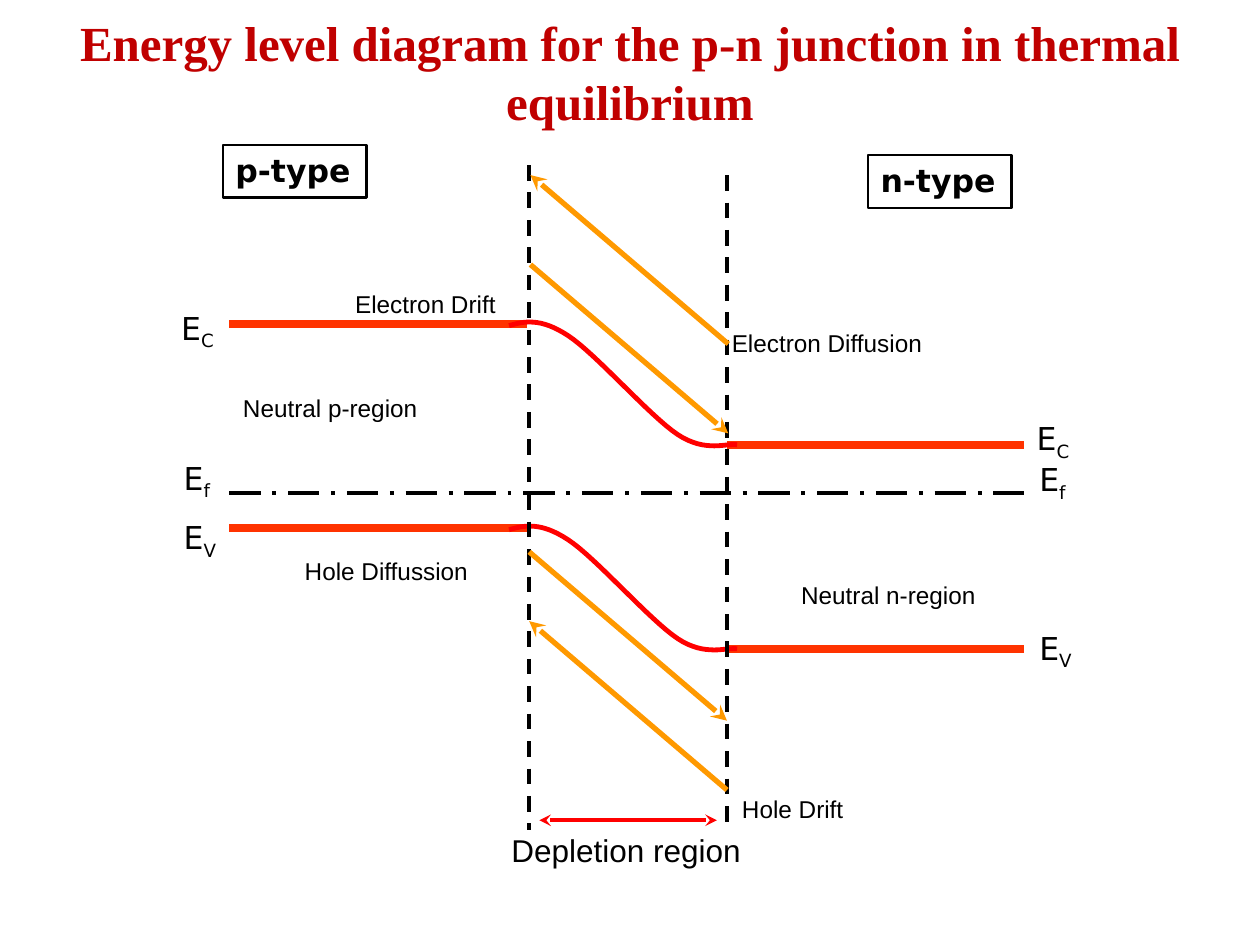
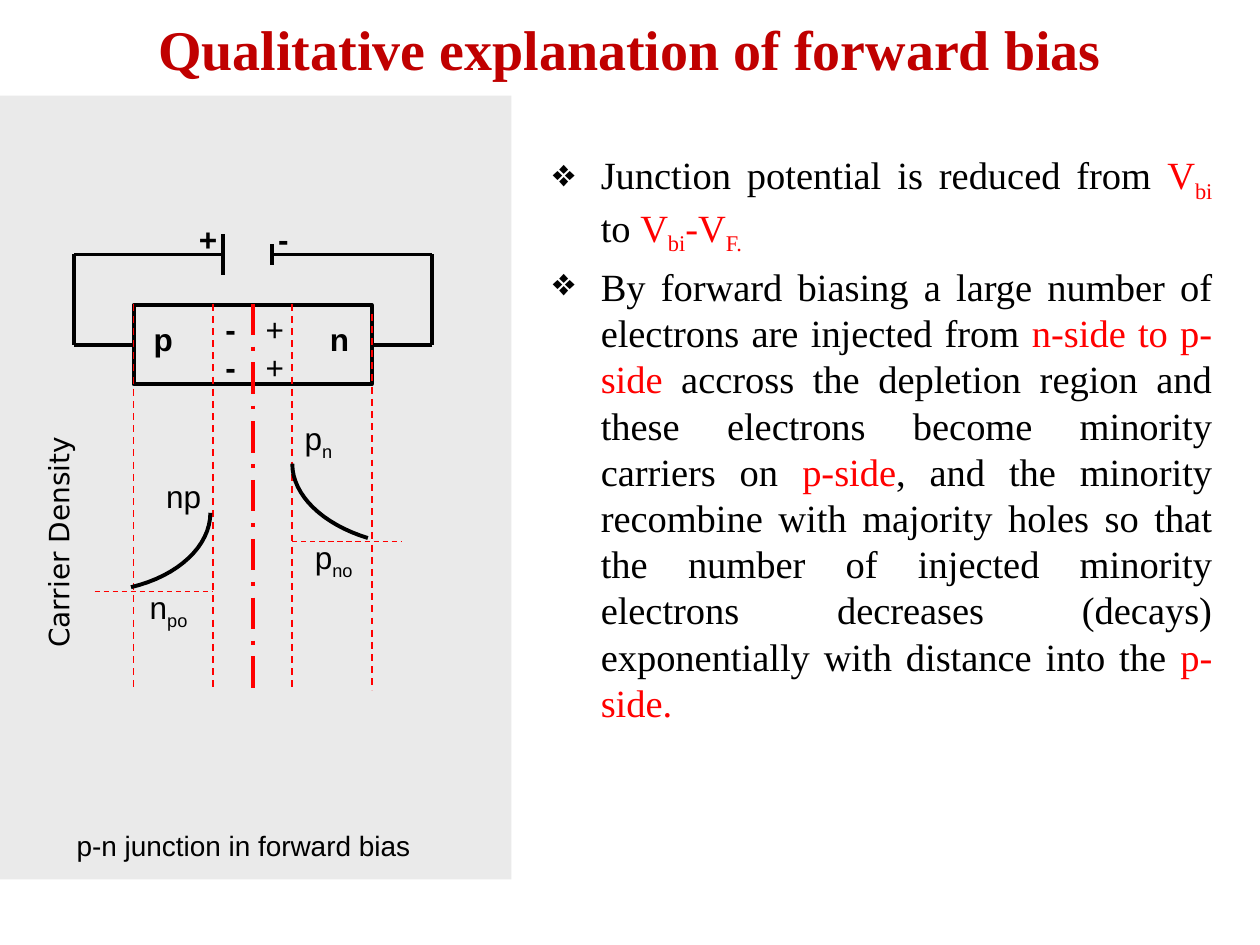
"""Build two slides on the p-n junction: energy levels and forward bias."""
from dataclasses import dataclass

from lxml import etree
from pptx import Presentation
from pptx.dml.color import RGBColor
from pptx.enum.dml import MSO_LINE
from pptx.enum.shapes import MSO_CONNECTOR, MSO_SHAPE
from pptx.enum.text import MSO_ANCHOR, PP_ALIGN
from pptx.oxml.ns import qn
from pptx.util import Inches, Pt

STRAIGHT, RECT = MSO_CONNECTOR.STRAIGHT, MSO_SHAPE.RECTANGLE
DASH, DASH_DOT = MSO_LINE.DASH, MSO_LINE.LONG_DASH_DOT
LEFT, CENTER, JUSTIFY = PP_ALIGN.LEFT, PP_ALIGN.CENTER, PP_ALIGN.JUSTIFY
TOP, MIDDLE = MSO_ANCHOR.TOP, MSO_ANCHOR.MIDDLE
LEFT_SIDE, RIGHT_SIDE = 1, 3


@dataclass(frozen=True)
class Theme:
    black: str = "000000"
    title: str = "C00000"
    red: str = "FF0000"
    band: str = "FF3300"
    arrow: str = "FF9900"
    panel: str = "EAEAEA"
    serif: str = "Times New Roman"
    sans: str = "Arial"
    symbol: str = "DejaVu Sans"
    long_title: int = 28
    short_title: int = 32
    body: int = 22
    label: int = 18
    region: int = 24
    caption: int = 16
    space: int = 4


T = Theme()
prs = Presentation()
prs.slide_width, prs.slide_height = Inches(10), Inches(7.5)
COL, ROW = prs.slide_width // 100, prs.slide_height // 75


def text(s, at, paras, size=T.label, font=T.sans, color=T.black, bold=False,
         align=LEFT, anchor=TOP, wrap=False, space=0):
    """Add text in which | switches to red and _ switches to subscript."""
    x, y, w, h = at
    sp = s.shapes.add_textbox(int(x * COL), int(y * ROW), int(w * COL), int(h * ROW))
    tf = sp.text_frame
    tf.word_wrap, tf.vertical_anchor = wrap, anchor
    for n, para in enumerate(paras):
        p = tf.add_paragraph() if n else tf.paragraphs[0]
        p.alignment, p.space_before = align, Pt(space)
        for i, part in enumerate(para.split("|")):
            for j, piece in enumerate(part.split("_")):
                if not piece:
                    continue
                r = p.add_run()
                r.text = piece
                r.font.size, r.font.name, r.font.bold = Pt(size), font, bold
                r.font.color.rgb = RGBColor.from_string(T.red if i % 2 else color)
                if j % 2:
                    r.font._element.set("baseline", "-25000")
    return sp


def line(s, pts, color=T.black, width=2.25, dash=None, head=False, tail=False):
    """Draw a connector through two points, or a Bezier chain through more."""
    pts = [(int(x * COL), int(y * ROW)) for x, y in pts]
    if len(pts) == 2:
        sp = s.shapes.add_connector(STRAIGHT, *pts[0], *pts[1])
    else:
        curve = []
        for k in range(0, len(pts) - 1, 3):
            for t in [n / 16 for n in range(1, 17)]:
                weights = ((1 - t) ** 3, 3 * t * (1 - t) ** 2, 3 * t * t * (1 - t), t ** 3)
                curve.append(tuple(round(sum(b * q[axis] for b, q in zip(weights, pts[k:k + 4])))
                                   for axis in (0, 1)))
        builder = s.shapes.build_freeform(*pts[0])
        builder.add_line_segments(curve, close=False)
        sp = builder.convert_to_shape()
        sp.fill.background()
    sp.line.color.rgb = RGBColor.from_string(color)
    sp.line.width = Pt(width)
    if dash:
        sp.line.dash_style = dash
    ln = sp.line._get_or_add_ln()
    for tag, wanted in (("a:headEnd", head), ("a:tailEnd", tail)):
        if wanted:
            etree.SubElement(ln, qn(tag)).set("type", "stealth")
    etree.SubElement(sp._element.spPr, qn("a:effectLst"))
    return sp


blank = prs.slide_layouts[6]
s = prs.slides.add_slide(blank)
text(s, (0, 0.5, 100, 9.4), ["Energy level diagram for the p-n junction in thermal equilibrium"],
     T.long_title, T.serif, T.title, True, CENTER, wrap=True, space=T.space)

P_EDGE, N_EDGE = 42, 57.7
BAND_LEFT, BAND_RIGHT, BAND_DROP = 18.2, 81.3, 9.6
for y in (25.7, 41.9):
    line(s, [(BAND_LEFT, y), (P_EDGE - 0.2, y)], T.band, 4.5)
    line(s, [(N_EDGE, y + BAND_DROP), (BAND_RIGHT, y + BAND_DROP)], T.band, 4.5)
    bend = [(40.4, 0.15), (41.6, -0.2), (42.9, -0.5), (45.1, 0.95), (47.3, 2.4),
            (51.6, 7.35), (53.8, 8.8), (56, 10.25), (57.7, 9.45), (58.5, 9.6)]
    line(s, [(x, y + dy) for x, dy in bend], T.red, 2.75)
line(s, [(BAND_LEFT, 39.1), (BAND_RIGHT, 39.1)], dash=DASH_DOT)

for x, y, level in ((13.4, 24, "E_C"), (13.6, 35.9, "E_f"), (13.6, 40.6, "E_V"),
                    (81.3, 32.8, "E_C"), (81.5, 36, "E_f"), (81.5, 49.4, "E_V")):
    text(s, (x, y, 4.7, 4), [level], font=T.symbol)

for x, y, side in ((17.7, 11.5, "p-type"), (68.9, 12.3, "n-type")):
    sp = text(s, (x, y, 11.4, 4.2), [side], font=T.symbol, bold=True)
    sp.line.color.rgb = RGBColor.from_string(T.black)
    sp.line.width = Pt(1.5)

for x, y in ((P_EDGE, 13.1), (N_EDGE, 13.9)):
    line(s, [(x, y), (x, 65.9)], dash=DASH)
for x, y, to_p in ((P_EDGE, 43.8, False), (P_EDGE, 49.3, True),
                   (42.1, 21, False), (42.1, 13.9, True)):
    line(s, [(x, y), (x + 15.7, y + 13.4)], T.arrow, 3, head=to_p, tail=not to_p)
line(s, [(42.8, 65.1), (56.9, 65.1)], T.red, head=True, tail=True)
text(s, (39.6, 65.5, 20.2, 4), ["Depletion region"])

for x, y, w, label in ((23.2, 41.4, 18.9, "Hole Diffussion"), (57.9, 60.3, 18.9, "Hole Drift"),
                       (57.1, 23.3, 24.4, "Electron Diffusion"),
                       (27.2, 20.2, 18.1, "Electron Drift"),
                       (18.3, 28.5, 17.9, "Neutral p-region"),
                       (62.6, 43.3, 17.9, "Neutral n-region")):
    text(s, (x, y, w, 3.7), ["_" + label], T.region, wrap=True)

s = prs.slides.add_slide(blank)
sp = s.shapes.add_shape(RECT, 0, int(7.6 * ROW), int(40.6 * COL), int(62.2 * ROW))
sp.shadow.inherit = False
sp.fill.solid()
sp.fill.fore_color.rgb = RGBColor.from_string(T.panel)
sp.line.fill.background()
text(s, (7.5, 0, 85, 7.6), ["Qualitative explanation of forward bias"],
     T.short_title, T.serif, T.title, True, CENTER, MIDDLE, True)

P_END, N_END, DIODE_TOP = 10.6, 29.5, 24.2
diode = s.shapes.add_shape(RECT, int(P_END * COL), int(DIODE_TOP * ROW),
                           int((N_END - P_END) * COL), int(6.3 * ROW))
diode.shadow.inherit = False
diode.fill.background()
diode.line.color.rgb = RGBColor.from_string(T.black)
diode.line.width = Pt(2.25)

WIRE_TOP, WIRE_LOW = 20.2, 27.35
for outer, plate, half, end, side in ((5.9, 17.7, 1.6, P_END, LEFT_SIDE),
                                      (34.3, 21.6, 0.8, N_END, RIGHT_SIDE)):
    line(s, [(outer, WIRE_TOP), (plate, WIRE_TOP)])
    line(s, [(outer, WIRE_TOP), (outer, WIRE_LOW)])
    line(s, [(plate, WIRE_TOP - half), (plate, WIRE_TOP + half)])
    line(s, [(outer, WIRE_LOW), (end, WIRE_LOW)]).end_connect(diode, side)

for x, y, w, dash in ((P_END, 24.1, 1, DASH), (16.9, 24.1, 1, DASH), (20.1, 24.1, 2.25, DASH_DOT),
                      (23.2, 24.1, 1, DASH), (N_END, 24.9, 1, DASH)):
    line(s, [(x, y), (x, 54.8)], T.red, w, dash)
for x1, x2, y in ((23.2, 31.9, 43), (7.5, 16.9, 46.95)):
    line(s, [(x1, y), (x2, y)], T.red, 0.75, DASH)
line(s, [(29.2, 42.7), (25.6, 41.6), (23.2, 39.3), (23.2, 36.8)])
line(s, [(10.4, 46.6), (14.2, 45.7), (16.7, 43.3), (16.7, 40.7)])

for x, y, w, paras, bold in ((14.8, 17, 3.5, ["+"], True), (21.1, 17, 2.9, ["-"], True),
                             (11.2, 24.9, 3.5, ["p"], True), (25.2, 24.9, 3.5, ["n"], True),
                             (20.1, 24.1, 3.5, ["+", "+"], False),
                             (16.9, 24.1, 2.9, ["-", "-"], True),
                             (23.2, 32.8, 4.6, ["p_n"], False), (24, 42.2, 5.6, ["p_no"], False),
                             (10.9, 46.2, 5.6, ["n_po"], False), (12.2, 37.4, 5.1, ["np"], False)):
    text(s, (x, y, w, 4 * len(paras)), paras, bold=bold)
text(s, (5.1, 65.3, 28.6, 3.7), ["p-n junction in forward bias"], T.caption)
sp = text(s, (-6.4, 41.2, 22.1, 3.7), ["Carrier Density"], T.caption, T.symbol,
          align=CENTER, wrap=True)
sp.rotation = 270

sp = text(s, (42.9, 11.5, 54.3, 53.6), [
    "Junction potential is reduced from |V_bi _|to |V_bi_-V_F.",
    "By forward biasing a large number of electrons are injected from |n-side to p-side| accross "
    "the depletion region and these electrons become minority carriers on |p-side|, and the "
    "minority recombine with majority holes so that the number of injected minority electrons "
    "decreases (decays) exponentially with distance into the |p-side.",
], T.body, T.serif, align=JUSTIFY, wrap=True, space=T.space)
for p in sp.text_frame.paragraphs:
    pPr = p._p.get_or_add_pPr()
    pPr.set("marL", str(int(3.8 * COL)))
    pPr.set("indent", str(int(-3.8 * COL)))
    etree.SubElement(pPr, qn("a:buChar")).set("char", "❖")

prs.save("out.pptx")
